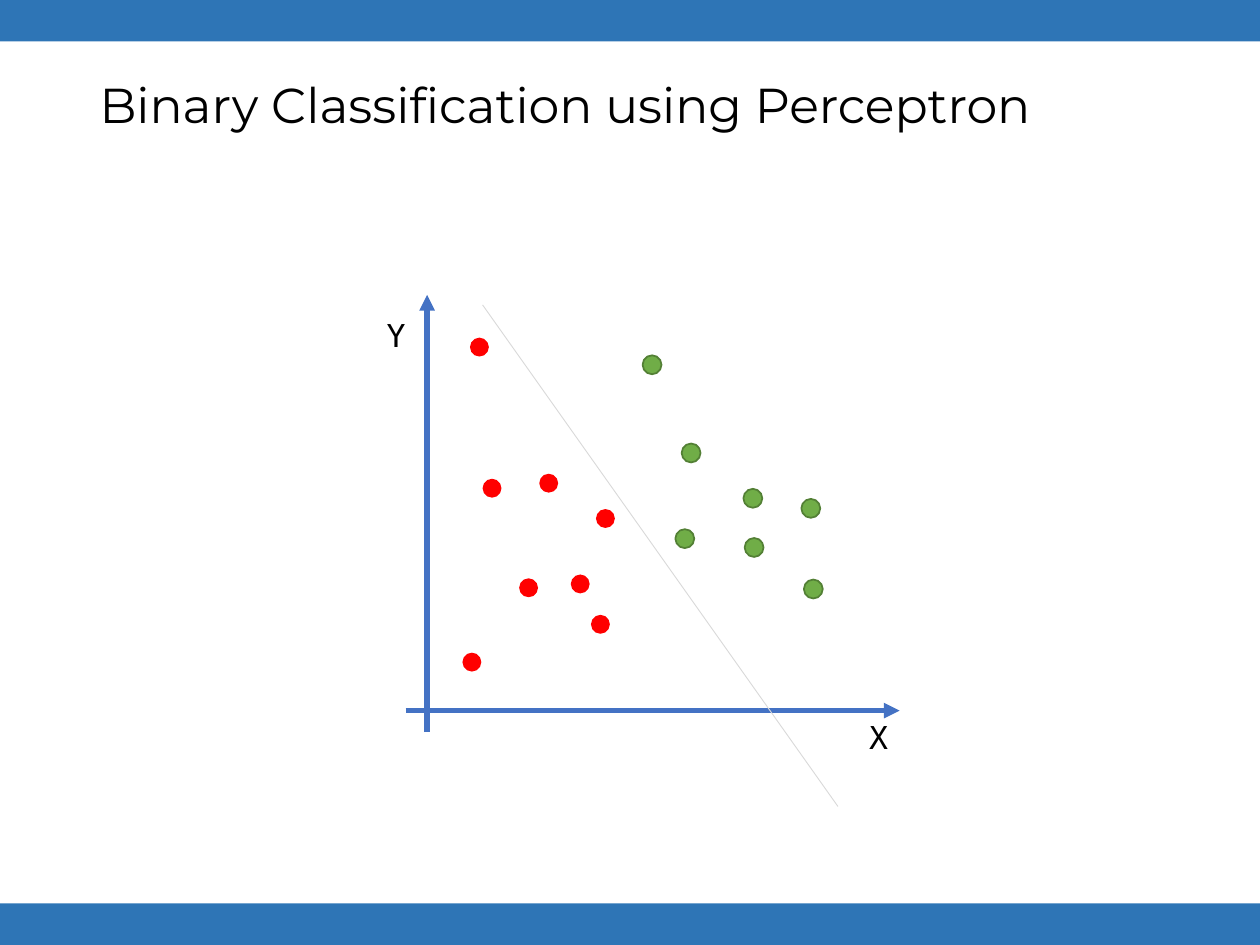
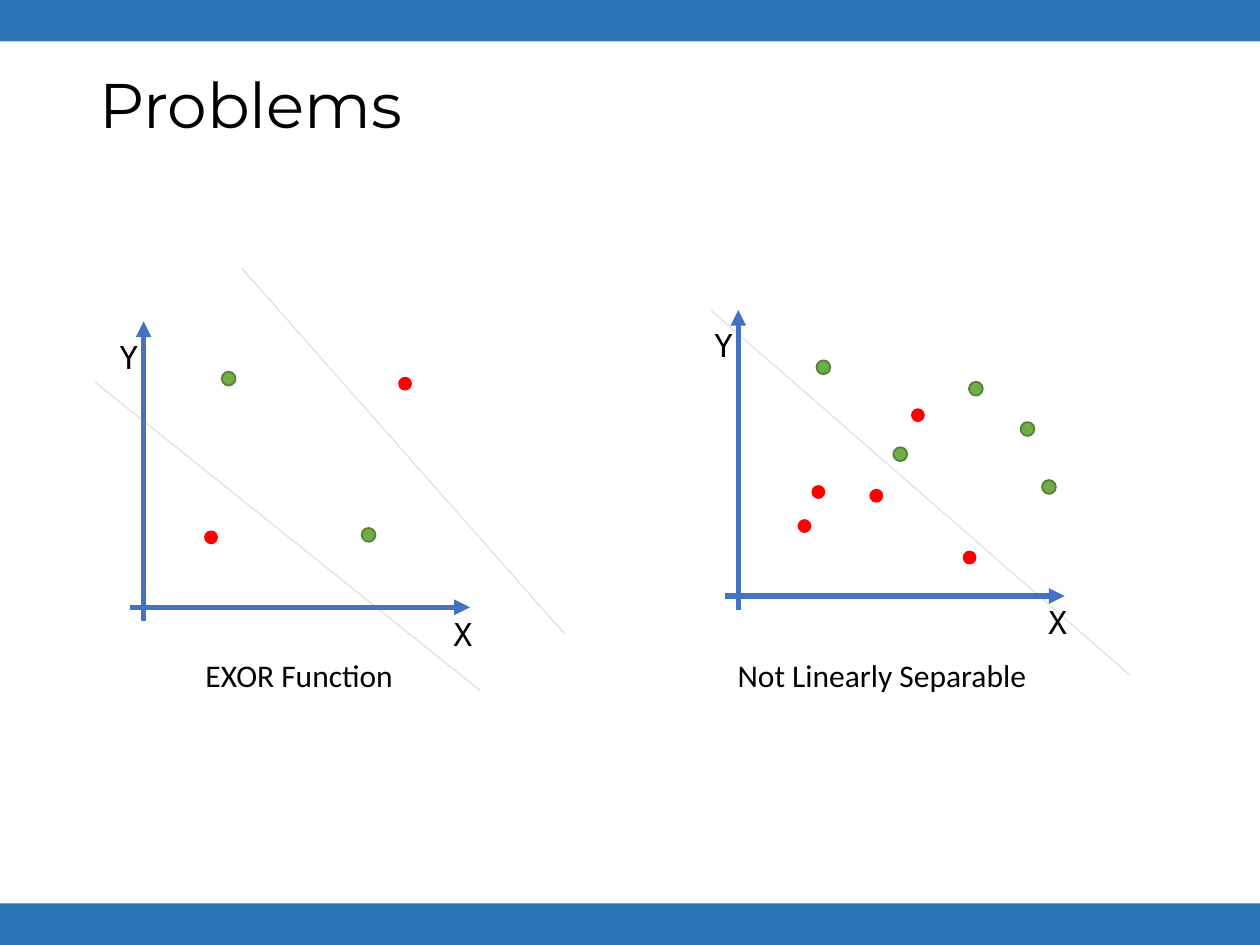
import pptx
import pptx.util
import pptx.dml.color
import pptx.enum.shapes
import pptx.enum.text
import pptx.oxml.ns
import lxml.etree

Inches = pptx.util.Inches
Pt = pptx.util.Pt
RGBColor = pptx.dml.color.RGBColor
MSO_SHAPE = pptx.enum.shapes.MSO_SHAPE
PP_ALIGN = pptx.enum.text.PP_ALIGN
qn = pptx.oxml.ns.qn

BAND_BLUE = RGBColor(0x2E, 0x75, 0xB6)
AXIS_BLUE = RGBColor(0x44, 0x72, 0xC4)
DIVIDER_GREY = RGBColor(0xD9, 0xD9, 0xD9)
RED = RGBColor(0xFF, 0x00, 0x00)
GREEN = RGBColor(0x70, 0xAD, 0x47)
DARK_GREEN = RGBColor(0x53, 0x80, 0x35)
BLACK = RGBColor(0x00, 0x00, 0x00)

BAND_HEIGHT = 0.33
TITLE_BOX = {"left": Inches(0.69), "top": Inches(0.4), "width": Inches(8.62), "height": Inches(0.91)}
TITLE_FRAME = {
    "auto_size": pptx.enum.text.MSO_AUTO_SIZE.NONE,
    "vertical_anchor": pptx.enum.text.MSO_ANCHOR.MIDDLE,
    "word_wrap": True,
}
TITLE_PARAGRAPH = {"alignment": PP_ALIGN.LEFT, "line_spacing": 0.9}
TITLE_FONT = {"name": "Montserrat"}
AXIS_FONT = {"name": "DejaVu Sans Mono", "size": Pt(18)}
CAPTION_FONT = {"name": "Calibri", "size": Pt(18)}

LARGE_PLOT = {"tail": 0.17, "x_length": 3.75, "y_length": 3.3, "dot": 0.15,
              "label_width": 0.34, "y_label": (-0.42, 0.12)}
SMALL_PLOT = {"tail": 0.11, "x_length": 2.59, "y_length": 2.27, "dot": 0.11,
              "label_width": 0.23, "y_label": (-0.29, 0.08)}

pages = [
    {
        "title": "Binary Classification using Perceptron",
        "title_size": 28,
        "dividers": [(3.83, 2.42, 6.65, 6.4)],
        "dividers_in_front": True,
        "plots": [{
            **LARGE_PLOT,
            "origin": (3.39, 5.64),
            "red": [(3.67, 5.18), (4.73, 4.04), (3.83, 3.8), (4.28, 3.76),
                    (4.53, 4.56), (4.12, 4.59), (3.73, 2.68), (4.69, 4.88)],
            "green": [(5.1, 2.82), (5.41, 3.52), (5.9, 3.88), (6.36, 3.96),
                      (5.36, 4.2), (5.91, 4.27), (6.38, 4.6)],
        }],
        "captions": [],
    },
    {
        "title": "Problems",
        "title_size": 36,
        "dividers": [(1.92, 2.13, 4.48, 5.03), (0.75, 3.03, 3.81, 5.48), (5.64, 2.46, 8.97, 5.36)],
        "dividers_in_front": False,
        "plots": [
            {
                **SMALL_PLOT,
                "origin": (1.14, 4.82),
                "red": [(1.62, 4.21), (3.16, 2.99)],
                "green": [(2.87, 4.19), (1.76, 2.95)],
            },
            {
                **SMALL_PLOT,
                "origin": (5.86, 4.73),
                "red": [(6.33, 4.12), (7.23, 3.24), (6.44, 3.85), (7.64, 4.37), (6.9, 3.88)],
                "green": [(7.09, 3.55), (6.48, 2.86), (8.27, 3.81), (7.69, 3.03), (8.1, 3.35)],
            },
        ],
        "captions": [("EXOR Function", 1.52, 1.71), ("Not Linearly Separable", 5.74, 2.52)],
    },
]


def add_line(slide, ends, color, weight, arrow=False):
    line = slide.shapes.add_connector(
        pptx.enum.shapes.MSO_CONNECTOR.STRAIGHT, *[Inches(end) for end in ends])
    line.line.color.rgb = color
    line.line.width = Pt(weight)
    properties = line.element.spPr
    if arrow:
        lxml.etree.SubElement(properties.find(qn("a:ln")), qn("a:tailEnd"), type="triangle")
    lxml.etree.SubElement(properties, qn("a:effectLst"))


def add_label(slide, text, left, top, width, font, align=PP_ALIGN.LEFT, wrap=True):
    frame = slide.shapes.add_textbox(Inches(left), Inches(top), Inches(width), Inches(0.4)).text_frame
    frame.word_wrap = wrap
    frame.text = text
    paragraph = frame.paragraphs[0]
    paragraph.alignment = align
    for attribute, value in font.items():
        setattr(paragraph.runs[0].font, attribute, value)
    paragraph.runs[0].font.color.rgb = BLACK


deck = pptx.Presentation()
deck.slide_width = Inches(10)
deck.slide_height = Inches(7.5)
title_only = deck.slide_layouts[5]

for page_index, page in enumerate(pages):
    slide = deck.slides.add_slide(title_only)

    if page_index == 0:
        for band_top in (0, 7.5 - BAND_HEIGHT):
            band = slide.shapes.add_shape(
                MSO_SHAPE.RECTANGLE, 0, Inches(band_top), Inches(10), Inches(BAND_HEIGHT))
            band.shadow.inherit = False
            band.fill.solid()
            band.fill.fore_color.rgb = BAND_BLUE
            band.line.fill.background()
            deck.slide_master.element.cSld.spTree.insert(2, band.element)

    title = slide.shapes.title
    title.text_frame.text = page["title"]
    heading = title.text_frame.paragraphs[0]
    for target, formats in (
        (title, TITLE_BOX),
        (title.text_frame, TITLE_FRAME),
        (heading, TITLE_PARAGRAPH),
        (heading.runs[0].font, {**TITLE_FONT, "size": Pt(page["title_size"])}),
    ):
        for attribute, value in formats.items():
            setattr(target, attribute, value)
    heading.runs[0].font.color.rgb = BLACK

    if not page["dividers_in_front"]:
        for divider in page["dividers"]:
            add_line(slide, divider, DIVIDER_GREY, 0.5)

    for plot in page["plots"]:
        origin_x, origin_y = plot["origin"]
        tip_x = origin_x + plot["x_length"]
        tip_y = origin_y - plot["y_length"]
        add_line(slide, (origin_x - plot["tail"], origin_y, tip_x, origin_y), AXIS_BLUE, 3, arrow=True)
        add_line(slide, (origin_x, origin_y + plot["tail"], origin_x, tip_y), AXIS_BLUE, 3, arrow=True)

        for group, fill, outline in (("red", RED, None), ("green", GREEN, DARK_GREEN)):
            for left, top in plot[group]:
                dot = slide.shapes.add_shape(
                    MSO_SHAPE.OVAL, Inches(left), Inches(top), Inches(plot["dot"]), Inches(plot["dot"]))
                dot.shadow.inherit = False
                dot.fill.solid()
                dot.fill.fore_color.rgb = fill
                if outline:
                    dot.line.color.rgb = outline
                    dot.line.width = Pt(1)
                else:
                    dot.line.fill.background()

        label_width = plot["label_width"]
        shift_x, shift_y = plot["y_label"]
        add_label(slide, "X", tip_x - label_width, origin_y + 0.01, label_width, AXIS_FONT)
        add_label(slide, "Y", origin_x + shift_x, tip_y + shift_y, label_width, AXIS_FONT)

    if page["dividers_in_front"]:
        for divider in page["dividers"]:
            add_line(slide, divider, DIVIDER_GREY, 0.5)

    for caption, left, width in page["captions"]:
        add_label(slide, caption, left, 5.16, width, CAPTION_FONT, PP_ALIGN.CENTER, wrap=False)

deck.save("out.pptx")
